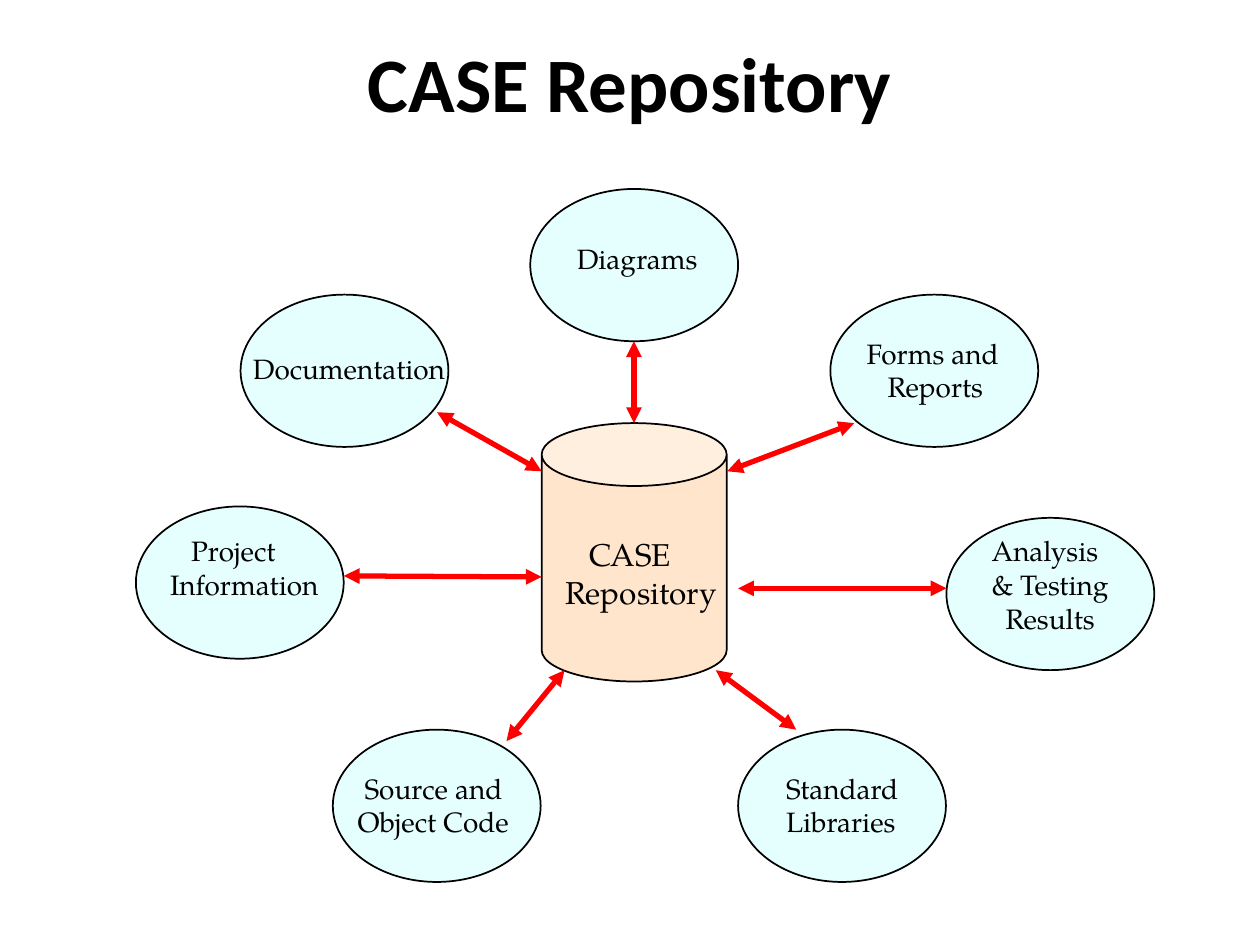
from lxml import etree
from pptx import Presentation
from pptx.dml.color import RGBColor
from pptx.enum import shapes, text
from pptx.oxml import ns
from pptx.util import Cm, Pt

SERIF = "TeX Gyre Pagella"
OVAL_W, OVAL_H = 4.19, 3.07

# Oval left, top; label left, top, width; lines as (text, indent in points)
TOPICS = [
    (4.85, 5.94, 4.85, 6.96, 4.42, [("Documentation", 0)]),
    (2.74, 10.21, 3.18, 10.64, 3.56, [("Project", 12), ("Information", 0)]),
    (16.74, 5.94, 17.22, 6.65, 3.2, [("Forms and", 0), ("Reports", 12)]),
    (6.71, 14.71, 6.96, 15.42, 3.68, [("Source and", 4), ("Object Code", 0)]),
    (14.88, 14.71, 15.6, 15.42, 2.82, [("Standard", 0), ("Libraries", 0)]),
    (19.08, 10.44, 19.74, 10.64, 3.07,
     [("Analysis", 0), ("& Testing", 0), ("Results", 8)]),
    (10.69, 3.81, 11.38, 4.75, 3.0, [("Diagrams", 0)]),
]

# Start x, y and end x, y
ARROWS = [
    (6.93, 11.61, 10.92, 11.63),
    (8.81, 8.31, 10.92, 9.5),
    (11.38, 13.51, 10.21, 14.94),
    (12.78, 6.88, 12.78, 8.53),
    (17.22, 8.53, 14.66, 9.5),
    (19.08, 11.86, 14.88, 11.86),
    (16.05, 14.71, 14.43, 13.51),
]


def rgb(value):
    return RGBColor.from_string(value)


def add_child(parent, tag, **attrs):
    return etree.SubElement(parent, ns.qn(tag), attrs)


def add_body(slide, kind, left, top, width, height, fill):
    """Outlined shape with a half-transparent fill."""
    sp = slide.shapes.add_shape(kind, Cm(left), Cm(top), Cm(width), Cm(height))
    sp.shadow.inherit = False
    sp.fill.solid()
    sp.fill.fore_color.rgb = rgb(fill)
    color = sp.fill._xPr.find(".//" + ns.qn("a:srgbClr"))
    add_child(color, "a:alpha", val="50000")
    sp.line.color.rgb = rgb("000000")
    sp.line.width = Pt(1)
    return sp


def add_label(slide, left, top, width, height, lines, size, font=SERIF):
    """Unwrapped text box, one paragraph per line."""
    box = slide.shapes.add_textbox(Cm(left), Cm(top), Cm(width), Cm(height))
    tf = box.text_frame
    tf.word_wrap = False
    for i, (line, indent) in enumerate(lines):
        p = tf.paragraphs[0] if i == 0 else tf.add_paragraph()
        p.text = line
        p.font.name = font
        p.font.size = Pt(size)
        p.font.color.rgb = rgb("000000")
        if indent:
            p._p.get_or_add_pPr().set("marL", str(Pt(indent)))
    return tf


def add_title(slide, title):
    tf = add_label(slide, 1.27, 0.76, 22.86, 1.78, [(title, 0)], 44, "Calibri")
    tf.word_wrap = True
    tf.vertical_anchor = text.MSO_ANCHOR.MIDDLE
    p = tf.paragraphs[0]
    p.alignment = text.PP_ALIGN.CENTER
    p.font.bold = True


def add_arrow(slide, *points):
    """Straight red line with an arrowhead at both ends."""
    line = slide.shapes.add_connector(
        shapes.MSO_CONNECTOR.STRAIGHT, *(Cm(v) for v in points))
    line.line.color.rgb = rgb("FF0000")
    line.line.width = Pt(3)
    ln = line.line._get_or_add_ln()
    add_child(ln, "a:headEnd", type="triangle")
    add_child(ln, "a:tailEnd", type="triangle")
    add_child(line._element.spPr, "a:effectLst")


def main():
    prs = Presentation()
    prs.slide_width, prs.slide_height = Cm(25.4), Cm(19.05)
    slide = prs.slides.add_slide(prs.slide_layouts[6])
    add_title(slide, "CASE Repository")

    # Central repository
    can = add_body(slide, shapes.MSO_SHAPE.CAN, 10.92, 8.53, 3.73, 5.21, "FFCC99")
    can.adjustments[0] = 0.34
    add_label(slide, 11.15, 10.67, 3.63, 1.98,
              [("CASE", 13.5), ("Repository", 0)], 18)

    # Surrounding topics
    for left, top, label_left, label_top, label_width, lines in TOPICS:
        add_body(slide, shapes.MSO_SHAPE.OVAL, left, top, OVAL_W, OVAL_H, "CCFFFF")
        label_height = 0.27 + 0.77 * len(lines)
        add_label(slide, label_left, label_top, label_width, label_height, lines, 16)

    # Links between topics and repository
    for points in ARROWS:
        add_arrow(slide, *points)

    prs.save("out.pptx")


if __name__ == "__main__":
    main()
